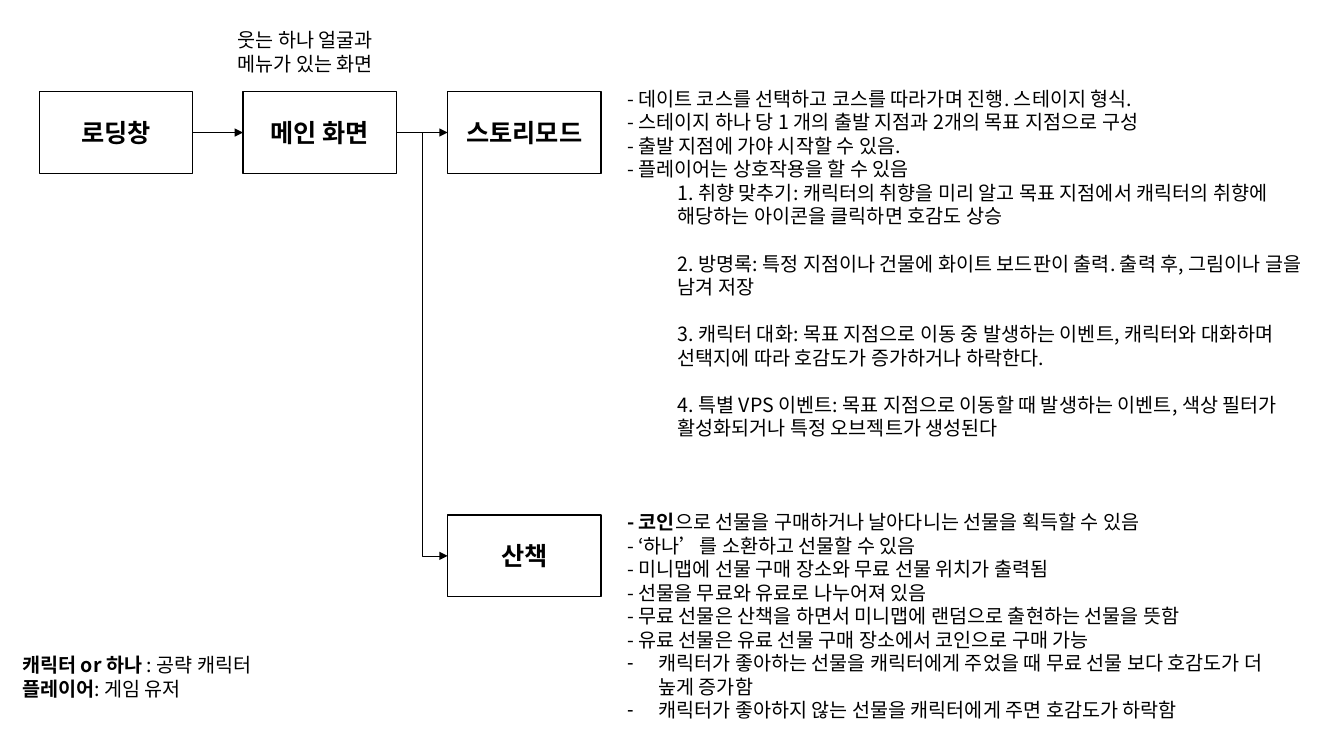
from lxml.etree import SubElement
from pptx import Presentation
from pptx.dml.color import RGBColor
from pptx.enum.shapes import MSO_CONNECTOR, MSO_SHAPE
from pptx.enum.text import MSO_ANCHOR, MSO_AUTO_SIZE, PP_ALIGN
from pptx.oxml.ns import qn
from pptx.util import Inches, Pt

FACE = "Noto Sans CJK KR"
INK = "000000"
PITCH = Pt(16.8)
LEFT, RIGHT = 1, 3  # connection sites of a rectangle
FRAME = {"word_wrap": True, "auto_size": MSO_AUTO_SIZE.NONE,
         "vertical_anchor": MSO_ANCHOR.TOP,
         "margin_left": Inches(0.1), "margin_right": Inches(0.1),
         "margin_top": Inches(0.05), "margin_bottom": Inches(0.05)}
PARA = {"alignment": PP_ALIGN.LEFT, "line_spacing": PITCH,
        "space_before": Pt(0), "space_after": Pt(0)}
BOX_SIZE = (1.52, 0.81)
COLS = (0.39, 2.41, 4.44)
ROWS = (0.91, 5.11)

# A paragraph is a list of (text, bold) runs plus its format.
STORY = [
    "- 데이트 코스를 선택하고 코스를 따라가며 진행. 스테이지 형식.",
    "- 스테이지 하나 당 1 개의 출발 지점과 2개의 목표 지점으로 구성",
    "- 출발 지점에 가야 시작할 수 있음.",
    "- 플레이어는 상호작용을 할 수 있음",
]
EVENTS = [
    "1. 취향 맞추기: 캐릭터의 취향을 미리 알고 목표 지점에서 캐릭터의 취향에 "
    "해당하는 아이콘을 클릭하면 호감도 상승",
    "2. 방명록: 특정 지점이나 건물에 화이트 보드판이 출력. 출력 후, 그림이나 "
    "글을 남겨 저장",
    "3. 캐릭터 대화: 목표 지점으로 이동 중 발생하는 이벤트, 캐릭터와 대화하며 "
    "선택지에 따라 호감도가 증가하거나 하락한다.",
    "4. 특별 VPS 이벤트: 목표 지점으로 이동할 때 발생하는 이벤트, 색상 "
    "필터가 활성화되거나 특정 오브젝트가 생성된다",
]
COIN = [("- 코인", True),
        ("으로 선물을 구매하거나 날아다니는 선물을 획득할 수 있음", False)]
WALK = [
    "- ‘하나’를 소환하고 선물할 수 있음",
    "- 미니맵에 선물 구매 장소와 무료 선물 위치가 출력됨",
    "- 선물을 무료와 유료로 나누어져 있음",
    "- 무료 선물은 산책을 하면서 미니맵에 랜덤으로 출현하는 선물을 뜻함",
    "- 유료 선물은 유료 선물 구매 장소에서 코인으로 구매 가능",
]
GIFTS = [
    "캐릭터가 좋아하는 선물을 캐릭터에게 주었을 때 무료 선물 보다 호감도가 "
    "더 높게 증가함",
    "캐릭터가 좋아하지 않는 선물을 캐릭터에게 주면 호감도가 하락함",
]
TERMS = [
    [("캐릭터 or 하나 ", True), (": 공략 캐릭터", False)],
    [("플레이어", True), (": 게임 유저", False)],
]


def paint(code):
    """Turn a hex string into a colour."""
    return RGBColor.from_string(code)


def apply(thing, form):
    """Set each attribute named in a dict."""
    for name, value in form.items():
        setattr(thing, name, value)


def add_run(para, text, bold, size):
    """Add one run in the slide's font."""
    run = para.add_run()
    run.text = text
    apply(run.font, {"name": FACE, "size": Pt(size), "bold": bold})
    run.font.color.rgb = paint(INK)
    SubElement(run.font._element, qn("a:ea"), typeface=FACE)


def indent(para, left, first, mark):
    """Set the indents and the bullet of a paragraph."""
    props = para._p.get_or_add_pPr()
    props.set("marL", str(Inches(left)))
    props.set("indent", str(Inches(first)))
    if mark:
        SubElement(props, qn("a:buFontTx"))
        SubElement(props, qn("a:buChar"), char=mark)
    else:
        SubElement(props, qn("a:buNone"))


def item(runs, left=0, first=0, mark=None, **form):
    """Describe one paragraph; plain text becomes a single run."""
    if isinstance(runs, str):
        runs = [(runs, False)]
    return runs, (left, first, mark), form


def fill_text(shape, place, items):
    """Move a text shape and write its paragraphs."""
    spots = map(Inches, place)
    apply(shape, dict(zip(("left", "top", "width", "height"), spots)))
    frame = shape.text_frame
    apply(frame, FRAME)
    for num, (runs, dent, form) in enumerate(items):
        para = frame.add_paragraph() if num else frame.paragraphs[0]
        apply(para, {**PARA, **form})
        indent(para, *dent)
        for text, bold in runs:
            add_run(para, text, bold, 14)


def add_note(slide, place, items):
    """Add a free text box."""
    fill_text(slide.shapes.add_textbox(*map(Inches, place)), place, items)


def add_box(slide, col, row, text):
    """Add an outlined screen box with a bold label."""
    place = (COLS[col], ROWS[row], *BOX_SIZE)
    box = slide.shapes.add_shape(MSO_SHAPE.RECTANGLE, *map(Inches, place))
    box.shadow.inherit = False
    box.fill.background()
    box.line.color.rgb = paint(INK)
    box.line.width = Pt(1)
    box.text_frame.vertical_anchor = MSO_ANCHOR.MIDDLE
    para = box.text_frame.paragraphs[0]
    para.alignment = PP_ALIGN.CENTER
    add_run(para, text, True, 18)
    return box


def add_link(slide, start, end, kind=MSO_CONNECTOR.STRAIGHT):
    """Join the right of one box to the left of the next."""
    link = slide.shapes.add_connector(kind, 0, 0, 0, 0)
    link.begin_connect(start, RIGHT)
    link.end_connect(end, LEFT)
    link.line.color.rgb = paint(INK)
    link.line.width = Pt(0.5)
    props = link._element.spPr
    SubElement(props.find(qn("a:ln")), qn("a:tailEnd"), type="triangle")
    SubElement(props, qn("a:effectLst"))


def main():
    """Build and save the slide."""
    deck = Presentation()
    apply(deck, {"slide_width": Inches(13.33), "slide_height": Inches(7.5)})
    slide = deck.slides.add_slide(deck.slide_layouts[3])
    title, story, walk = slide.placeholders
    title._element.getparent().remove(title._element)

    load = add_box(slide, 0, 0, "로딩창")
    home = add_box(slide, 1, 0, "메인 화면")
    mode = add_box(slide, 2, 0, "스토리모드")
    stroll = add_box(slide, 2, 1, "산책")
    add_link(slide, load, home)
    add_link(slide, home, mode)
    add_link(slide, home, stroll, MSO_CONNECTOR.ELBOW)

    events = [item(text, 0.5, level=1, space_before=PITCH if num else Pt(0))
              for num, text in enumerate(EVENTS)]
    fill_text(story, (6.12, 0.81, 6.96, 3.64),
              [item(text) for text in STORY] + events)
    gifts = [item(text, 0.31, -0.31, "-") for text in GIFTS]
    fill_text(walk, (6.12, 5.01, 6.52, 2.22),
              [item(text) for text in [COIN] + WALK] + gifts)
    add_note(slide, (2.26, 0.23, 1.93, 0.57),
             [item("웃는 하나 얼굴과 메뉴가 있는 화면")])
    add_note(slide, (0.12, 6.43, 4.01, 0.57), [item(term) for term in TERMS])
    deck.save("out.pptx")


main()
